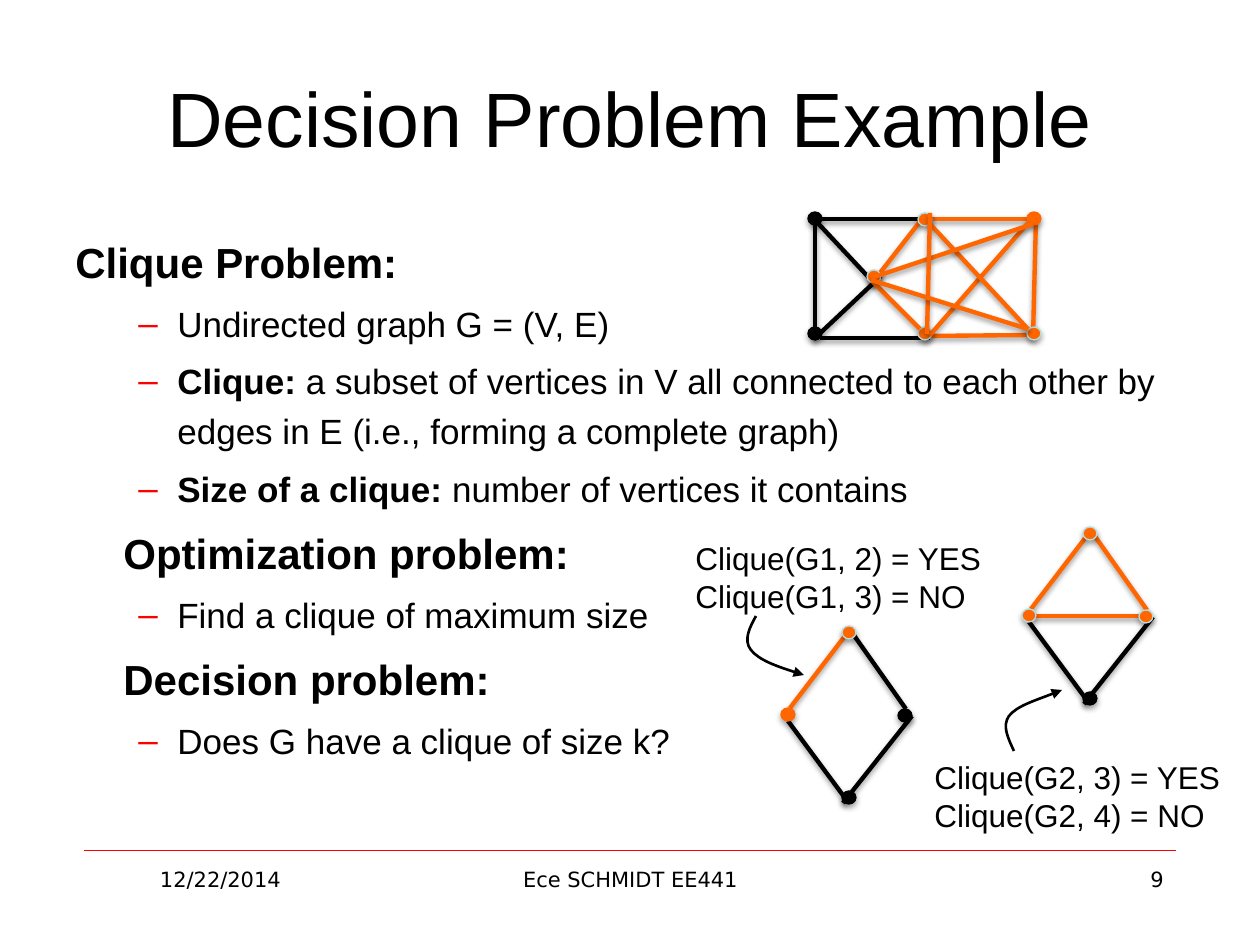
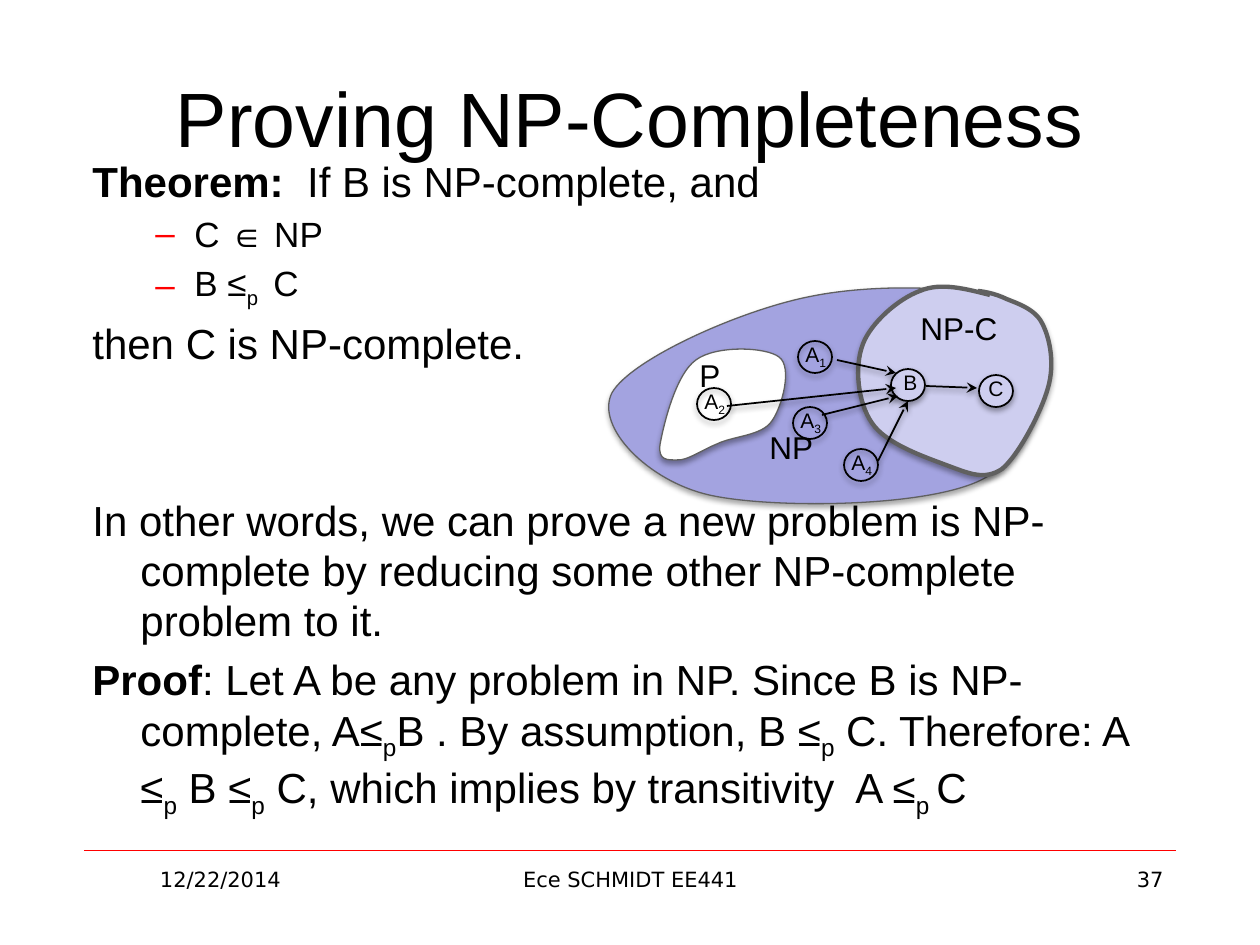
from lxml import etree
from pptx import Presentation
from pptx import util as u
from pptx.dml.color import RGBColor
from pptx.enum import shapes, text
from pptx.oxml.ns import qn

PX = 914400 / 126  # EMU per px
FONT, FOOTER_FONT = "Arial", "DejaVu Sans"
BLACK = RGBColor(0x00, 0x00, 0x00)
WHITE = RGBColor(0xFF, 0xFF, 0xFF)
RED = RGBColor(0xFF, 0x00, 0x00)
ORANGE = RGBColor(0xFF, 0x66, 0x00)
RIM = RGBColor(0xB6, 0xDC, 0xDF)
GREY = RGBColor(0x60, 0x60, 0x60)
VIOLET = RGBColor(0xA3, 0xA3, 0xE0)
PALE = RGBColor(0xCE, 0xCE, 0xEF)

CENTER, RIGHT = text.PP_ALIGN.CENTER, text.PP_ALIGN.RIGHT
# Paragraph levels: left margin px, first-line indent px, size, space before
HANGING = (48, -48, 24, 4.8)
AFTER_GAP = (48, -48, 24, 72)
DASHED = (102, -39, 20, 4)


def emu(*px):
    return [u.Emu(round(v * PX)) for v in px]


# --- Formatting ---
def set_line(sp, color, width):
    sp.line.color.rgb = color
    sp.line.width = u.Pt(width)


def set_fill(sp, color):
    if color is None:
        sp.fill.background()
    else:
        sp.fill.solid()
        sp.fill.fore_color.rgb = color


def set_effects(sp, alpha=0, dist=0):
    """Replace the theme shadow by a soft one, or by none."""
    spPr = sp._element.spPr
    for old in spPr.findall(qn("a:effectLst")):
        spPr.remove(old)
    effects = etree.SubElement(spPr, qn("a:effectLst"))
    if alpha:
        shadow = etree.SubElement(effects, qn("a:outerShdw"), blurRad="40000",
                                  dist=str(dist), dir="5400000", rotWithShape="0")
        color = etree.SubElement(shadow, qn("a:srgbClr"), val=str(BLACK))
        etree.SubElement(color, qn("a:alpha"), val=str(alpha * 1000))


def add_arrowhead(sp, kind):
    etree.SubElement(sp.line._get_or_add_ln(), qn("a:tailEnd"), type=kind)


def format_run(r, size, font=FONT, style=""):
    r.font.size, r.font.name = u.Pt(size), font
    r.font.color.rgb = BLACK
    r.font.bold = style == "bold"
    if style == "sub":
        r._r.get_or_add_rPr().set("baseline", "-25000")


def write(p, runs, size):
    """Fill a paragraph with a string or with (text, style) pairs."""
    for words, style in [(runs, "")] if isinstance(runs, str) else runs:
        r = p.add_run()
        r.text = words
        format_run(r, size, style=style)


# --- Text ---
def add_label(s, box, lines, size=18, wrap=True):
    tf = s.shapes.add_textbox(*emu(*box)).text_frame
    tf.word_wrap = wrap
    for i, runs in enumerate(lines):
        p = tf.add_paragraph() if i else tf.paragraphs[0]
        write(p, runs, size)


def add_body(s, box, items, spacing=1.0):
    tf = s.shapes.add_textbox(*emu(*box)).text_frame
    tf.word_wrap = True
    for i, (level, runs) in enumerate(items):
        margin, indent, size, before = level
        p = tf.add_paragraph() if i else tf.paragraphs[0]
        write(p, runs, size)
        pPr = p._p.get_or_add_pPr()
        pPr.set("marL", str(round(margin * PX)))
        pPr.set("indent", str(round(indent * PX)))
        if level is DASHED:
            pPr.set("lvl", "1")
            color = etree.SubElement(pPr, qn("a:buClr"))
            etree.SubElement(color, qn("a:srgbClr"), val=str(RED))
            etree.SubElement(pPr, qn("a:buFont"), typeface=FONT)
            etree.SubElement(pPr, qn("a:buChar"), char="–")
        p.line_spacing, p.space_before = spacing, u.Pt(before)


def add_footer(s, left, width, words, align):
    tf = s.shapes.add_textbox(*emu(left, 860, width, 66)).text_frame
    tf.word_wrap = True
    p = tf.paragraphs[0]
    p.text, p.alignment = words, align
    format_run(p.runs[0], 12, FOOTER_FONT)


# --- Drawing ---
def add_edge(s, ends, color=BLACK, width=2.5, head=None, shadow=True):
    sp = s.shapes.add_connector(shapes.MSO_CONNECTOR.STRAIGHT, *emu(*ends))
    set_line(sp, color, width)
    if head:
        add_arrowhead(sp, head)
    set_effects(sp, 38 if shadow else 0, 20000)


def add_ellipse(s, box, fill, rim, width):
    sp = s.shapes.add_shape(shapes.MSO_SHAPE.OVAL, *emu(*box))
    set_fill(sp, fill)
    set_line(sp, rim, width)
    set_effects(sp, 35, 23000)


def add_dot(s, x, y, fill, rim):
    add_ellipse(s, (x, y, 14, 13), fill, rim, 0.75)


def add_curve(s, points, fill=None, color=GREY, width=0.75, closed=True):
    """Trace cubic Bezier pieces: a start, then three points for each."""
    builder = s.shapes.build_freeform(*emu(*points[0]))
    builder.add_line_segments([emu(*pt) for pt in points[1:]], close=closed)
    sp = builder.convert_to_shape()
    # Join every three straight steps into one curve
    steps = list(sp._element.iter(qn("a:lnTo")))
    for i in range(0, len(steps), 3):
        curve = steps[i].makeelement(qn("a:cubicBezTo"))
        steps[i].addprevious(curve)
        for step in steps[i:i + 3]:
            curve.append(step[0])
            step.getparent().remove(step)
    set_fill(sp, fill)
    set_line(sp, color, width)
    set_effects(sp, 35 if fill is not None else 0, 23000)
    return sp


def add_diamond(s, x, y, upper_right, dots, chord=False):
    """Four-vertex graph; dots go top, left, right, bottom."""
    edges = [((72, 8, 125, 83), upper_right), ((7, 95, 64, 172), BLACK),
             ((62, 177, 131, 90), BLACK), ((64, 10, 9, 82), ORANGE)]
    if chord:
        edges.append(((11, 89, 125, 89), ORANGE))
    for (x1, y1, x2, y2), color in edges:
        add_edge(s, (x + x1, y + y1, x + x2, y + y2), color)
    for (dx, dy), colors in zip([(61, 0), (0, 82), (117, 83), (61, 165)], dots):
        add_dot(s, x + dx, y + dy, *colors)


def add_problem(s, x, y, runs, fill=None, dx=-5):
    """Circled problem name."""
    add_ellipse(s, (x, y, 34, 32), fill, BLACK, 1)
    add_label(s, (x + dx, y - 6, 52 if dx else 34, 38), [runs], 12)


def new_slide(prs, title, number):
    s = prs.slides.add_slide(prs.slide_layouts[5])
    add_edge(s, (84, 850, 1176, 850), RED, 0.25, shadow=False)
    sp = s.shapes.title
    sp.left, sp.top, sp.width, sp.height = emu(63, 38, 1134, 158)
    tf = sp.text_frame
    tf.text = title
    tf.vertical_anchor = text.MSO_ANCHOR.MIDDLE
    tf.paragraphs[0].alignment = CENTER
    format_run(tf.paragraphs[0].runs[0], 44)
    add_footer(s, 84, 273, "12/22/2014", CENTER)
    add_footer(s, 431, 399, "Ece SCHMIDT EE441", CENTER)
    add_footer(s, 903, 273, str(number), RIGHT)
    return s


# --- Slides ---
def decision_slide(prs):
    s = new_slide(prs, "Decision Problem Example", 9)
    add_body(s, (63, 220, 1134, 624), [
        (HANGING, [("Clique Problem:", "bold")]),
        (DASHED, "Undirected graph G = (V, E)"),
        (DASHED, [("Clique:", "bold"),
                  (" a subset of vertices in V all connected to each other by "
                   "edges in E (i.e., forming a complete graph)", "")]),
        (DASHED, [("Size of a clique:", "bold"),
                  (" number of vertices it contains", "")]),
        (HANGING, [("\tOptimization problem:", "bold")]),
        (DASHED, "Find a clique of maximum size"),
        (HANGING, [("\tDecision problem:", "bold")]),
        (DASHED, "Does G have a clique of size k?"),
    ], spacing=1.2)

    # Graph with a clique of five: outer edges, vertices, inner edges
    black, plain, rimmed = (BLACK, BLACK), (ORANGE, ORANGE), (ORANGE, RIM)
    for ends in [(814, 219, 873, 282), (815, 220, 815, 339), (814, 339, 881, 276),
                 (815, 219, 919, 219), (820, 338, 930, 338)]:
        add_edge(s, ends)
    for ends in [(1033, 335, 922, 336), (1036, 219, 1033, 339),
                 (922, 219, 873, 282), (922, 219, 1034, 219)]:
        add_edge(s, ends, ORANGE)
    for x, y, colors in [(808, 327, black), (808, 212, black), (918, 213, rimmed),
                         (1027, 327, rimmed), (918, 327, rimmed),
                         (1027, 212, plain), (867, 270, rimmed)]:
        add_dot(s, x, y, *colors)
    for ends in [(920, 329, 873, 282), (1028, 223, 930, 335),
                 (1028, 329, 930, 224), (1033, 224, 871, 278),
                 (930, 213, 927, 334), (1028, 329, 871, 280)]:
        add_edge(s, ends, ORANGE)

    # G1 and G2 with their answers
    add_label(s, (683, 533, 314, 89),
              ["Clique(G1, 2) = YES", "Clique(G1, 3) = NO"], wrap=False)
    add_label(s, (922, 752, 314, 89),
              ["Clique(G2, 3) = YES", "Clique(G2, 4) = NO"], wrap=False)
    for points in [
        [(756, 616), (750, 627), (743, 640), (751, 650),
         (759, 660), (781, 668), (804, 675)],
        [(1014, 751), (1008, 738), (1002, 726), (1009, 716),
         (1017, 706), (1040, 699), (1062, 690)],
    ]:
        pointer = add_curve(s, points, color=BLACK, width=1.5, closed=False)
        add_arrowhead(pointer, "triangle")
    add_diamond(s, 781, 626, BLACK, [rimmed, plain, black, black])
    add_diamond(s, 1022, 527, ORANGE, [rimmed, rimmed, rimmed, black], chord=True)


def proof_slide(prs):
    s = new_slide(prs, "Proving NP-Completeness", 37)
    sub, sub_space = ("p", "sub"), ("p ", "sub")
    add_body(s, (80, 149, 1087, 762), [
        (HANGING, [("Theorem:  ", "bold"), ("If B is NP-complete, and", "")]),
        (DASHED, "C ∈ NP"),
        (DASHED, [("B ≤", ""), sub_space, (" C", "")]),
        (HANGING, "then C is NP-complete."),
        (AFTER_GAP, "In other words, we can prove a new problem is NP-complete "
                    "by reducing some other NP-complete problem to it."),
        (HANGING, [("Proof", "bold"),
                   (": Let A be any problem in NP. Since B is NP-complete, A≤", ""),
                   sub, ("B . By assumption, B ≤", ""),
                   sub, (" C. Therefore: A ≤", ""), sub, (" B ≤", ""),
                   sub, (" C, which implies by transitivity  A ≤", ""),
                   sub_space, ("C", "")]),
    ])

    # Sets NP, P and NP-C
    add_curve(s, [(813, 296), (883, 282), (1002, 285), (1031, 315),
                  (1060, 345), (1040, 449), (985, 478),
                  (932, 508), (771, 509), (709, 495),
                  (648, 481), (595, 427), (612, 393),
                  (631, 359), (743, 309), (813, 296)], VIOLET)
    add_curve(s, [(660, 445), (663, 428), (675, 375), (696, 360),
                  (716, 345), (766, 347), (779, 357),
                  (793, 367), (782, 407), (772, 421),
                  (762, 436), (733, 436), (717, 444),
                  (702, 450), (687, 461), (677, 460),
                  (668, 460), (658, 461), (660, 445)], WHITE)
    add_label(s, (687, 350, 93, 50), ["P"])
    add_label(s, (757, 422, 139, 50), ["NP"])
    add_curve(s, [(990, 295), (966, 289), (941, 282), (920, 291),
                  (898, 299), (871, 323), (863, 344),
                  (854, 367), (858, 403), (872, 423),
                  (886, 444), (925, 457), (946, 465),
                  (968, 473), (984, 481), (1002, 469),
                  (1018, 456), (1041, 413), (1048, 388),
                  (1055, 364), (1050, 338), (1042, 323),
                  (1034, 307), (1012, 302), (1002, 297),
                  (990, 292), (978, 291), (978, 291)], PALE, width=2.5, closed=False)
    add_label(s, (908, 303, 103, 50), ["NP-C"], wrap=False)

    # Problems and reductions
    for i, (x, y) in enumerate([(798, 341), (697, 388), (793, 407), (844, 449)], 1):
        add_problem(s, x, y, [("A", ""), (str(i), "sub")])
    add_problem(s, 891, 369, "B", PALE, dx=0)
    add_problem(s, 979, 375, "C", PALE, dx=-3)
    for ends in [(727, 406, 896, 388), (822, 415, 898, 396), (837, 360, 896, 373),
                 (878, 461, 908, 401), (926, 386, 977, 388)]:
        add_edge(s, ends, width=1, head="stealth")


def main():
    prs = Presentation()
    prs.slide_width, prs.slide_height = emu(1260, 945)
    decision_slide(prs)
    proof_slide(prs)
    prs.save("out.pptx")


if __name__ == "__main__":
    main()
